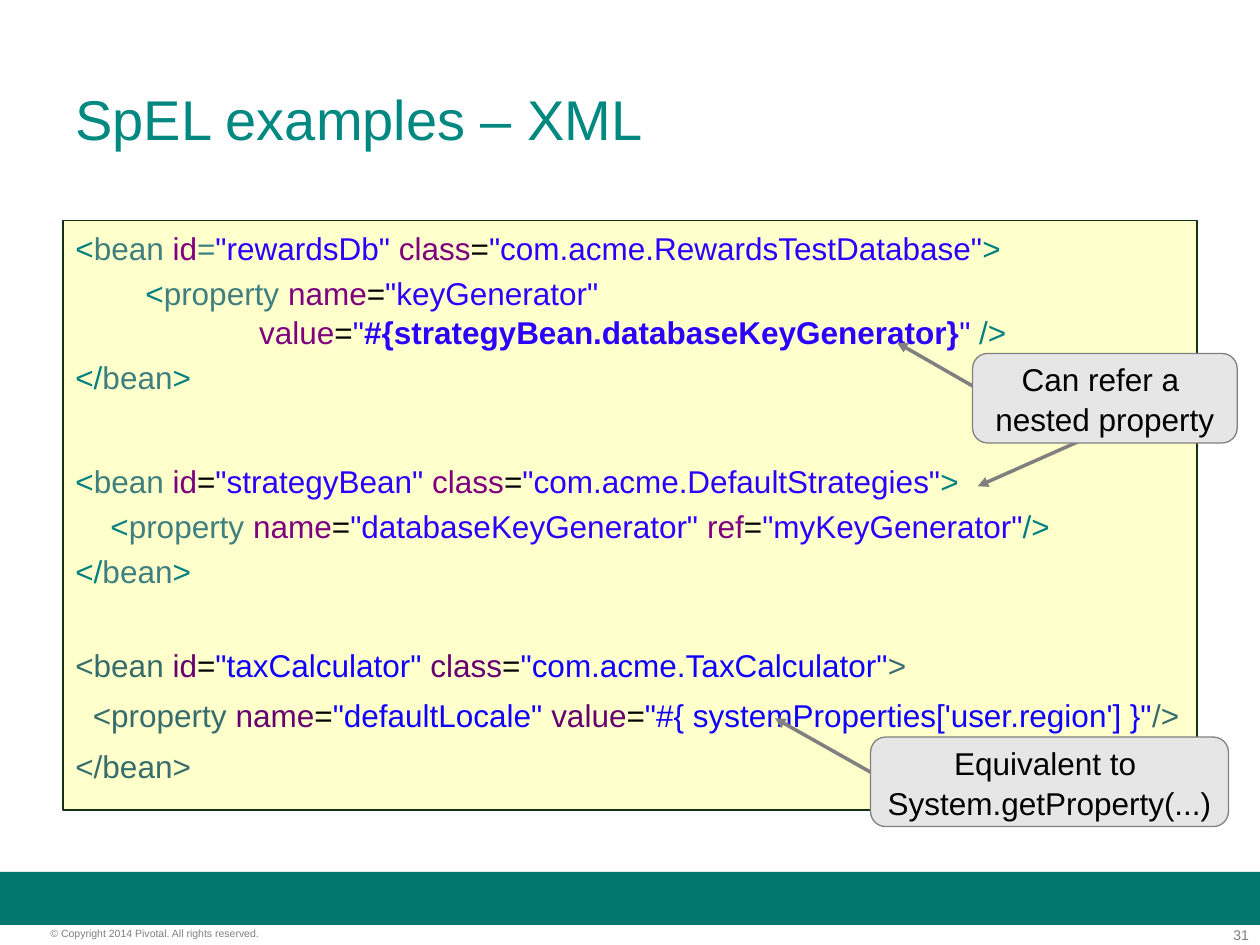
from lxml import etree
from pptx import Presentation, util as u
from pptx.dml.color import RGBColor
from pptx.enum import shapes, text
from pptx.oxml.ns import qn

Pt = u.Pt
ALIGN = text.PP_ALIGN
ANCHOR = text.MSO_ANCHOR

THEME = {
    "font": "Arial",
    "line_spacing": 1.05,
    "sizes": {"title": 32, "code": 18, "number": 8, "copyright": 6},
    "colors": {
        "band": "00786E", "title": "008881", "footer": "7F7F7F",
        "panel": "FFFFCC", "panel_edge": "143015",
        "callout": "E6E6E6", "rule": "808080", "black": "000000",
        "bracket": "008080", "tag": "3F7F7F", "attr": "7F007F",
        "value": "2A00FF", "spel": "2A00FF",
        "tax_tag": "366C6C", "tax_attr": "660071", "tax_value": "0F00FF",
    },
}


def color(role):
    return RGBColor.from_string(THEME["colors"][role])


def write(shape, paragraphs, size, align=ALIGN.LEFT, **frame_format):
    """Fill a shape with (space before, [(colour role, text), ...]) paragraphs."""
    frame = shape.text_frame
    frame_format = {"word_wrap": True, "vertical_anchor": ANCHOR.TOP, **frame_format}
    for attribute, value in frame_format.items():
        setattr(frame, attribute, value)
    for index, (space_before, tokens) in enumerate(paragraphs):
        paragraph = frame.add_paragraph() if index else frame.paragraphs[0]
        paragraph.alignment = align
        paragraph.line_spacing = THEME["line_spacing"]
        paragraph.space_before = Pt(space_before)
        for role, words in tokens:
            if role == "break":
                paragraph.add_line_break()
                continue
            run = paragraph.add_run()
            run.text = words
            font_format = {"name": THEME["font"], "size": Pt(THEME["sizes"][size]),
                           "bold": role == "spel"}
            for attribute, value in font_format.items():
                setattr(run.font, attribute, value)
            run.font.color.rgb = color(role)


prs = Presentation()
prs.slide_width, prs.slide_height = Pt(720), Pt(540)
slide = prs.slides.add_slide(prs.slide_layouts[6])
canvas = slide.shapes

# Footer
band = canvas.add_shape(shapes.MSO_SHAPE.RECTANGLE, Pt(0), Pt(498.2), Pt(720), Pt(30.3))
band.shadow.inherit = False
band.fill.solid()
band.fill.fore_color.rgb = color("band")
band.line.fill.background()

no_margins = dict.fromkeys(
    ("margin_left", "margin_top", "margin_right", "margin_bottom"), 0)
page_number = canvas.add_textbox(Pt(671.8), Pt(529.2), Pt(41.8), Pt(9.4))
write(page_number, [(0, [("footer", "31")])], "number", ALIGN.RIGHT, **no_margins)
copyright_line = canvas.add_textbox(Pt(28.8), Pt(529.2), Pt(179.3), Pt(7.2))
write(copyright_line,
      [(0, [("footer", "© Copyright 2014 Pivotal. All rights reserved.")])],
      "copyright", **no_margins)

# Title
title = canvas.add_textbox(Pt(36), Pt(21.6), Pt(648), Pt(90))
write(title, [(0, [("title", "SpEL examples – XML")])], "title",
      vertical_anchor=ANCHOR.MIDDLE)

# Code panel
equals = ("black", "=")
close_bean = [("bracket", "</"), ("tag", "bean"), ("bracket", ">")]
code = [
    (0, [("bracket", "<"), ("tag", "bean "), ("attr", "id"), ("tag", "="),
         ("value", '"rewardsDb" '), ("attr", "class"), equals,
         ("value", '"com.acme.RewardsTestDatabase"'), ("bracket", ">")]),
    (3.1, [("bracket", "        <"), ("tag", "property "), ("attr", "name"), equals,
           ("value", '"keyGenerator" '), ("break", ""),
           ("value", "                     "), ("attr", "value"), equals,
           ("value", '"'), ("spel", "#{strategyBean.databaseKeyGenerator}"),
           ("value", '" '), ("bracket", "/>")]),
    (3.1, close_bean),
    (36.6, [("bracket", "<"), ("tag", "bean "), ("attr", "id"), equals,
            ("value", '"strategyBean" '), ("attr", "class"), equals,
            ("value", '"com.acme.DefaultStrategies"'), ("bracket", ">")]),
    (3.1, [("bracket", "    <"), ("tag", "property "), ("attr", "name"), equals,
           ("value", '"databaseKeyGenerator" '), ("attr", "ref"), equals,
           ("value", '"myKeyGenerator"'), ("bracket", "/>")]),
    (3.1, close_bean),
    (30.9, [("tax_tag", "<bean "), ("tax_attr", "id"), equals,
            ("tax_value", '"taxCalculator" '), ("tax_attr", "class"), equals,
            ("tax_value", '"com.acme.TaxCalculator"'), ("tax_tag", ">")]),
    (6, [("tax_tag", "  <property "), ("tax_attr", "name"), equals,
         ("tax_value", '"defaultLocale" '), ("tax_attr", "value"), equals,
         ("tax_value", "\"#{ systemProperties['user.region'] }\""),
         ("tax_tag", "/>")]),
    (6, [("tax_tag", "</bean>")]),
]
code_panel = canvas.add_shape(shapes.MSO_SHAPE.RECTANGLE,
                              Pt(36), Pt(126), Pt(648), Pt(337))
code_panel.shadow.inherit = False
code_panel.fill.solid()
code_panel.fill.fore_color.rgb = color("panel")
code_panel.line.color.rgb = color("panel_edge")
code_panel.line.width = Pt(1)
write(code_panel, code, "code")

# Pointers from the callouts into the code
for ends in [(636.5, 243.4, 558.7, 277.9),
             (571.7, 229.7, 512.6, 195.8),
             (505.4, 445.7, 442.8, 410.4)]:
    pointer = canvas.add_connector(shapes.MSO_CONNECTOR.STRAIGHT, *map(Pt, ends))
    pointer.line.color.rgb = color("rule")
    pointer.line.width = Pt(0)
    etree.SubElement(pointer.line._get_or_add_ln(), qn("a:tailEnd"), type="triangle")
    etree.SubElement(pointer._element.spPr, qn("a:effectLst"))

# Callouts
for left, top, width, lines in [
    (497.5, 421.2, 204.5, ("Equivalent to ", "System.getProperty(...)")),
    (555.8, 202, 151.2, ("Can refer a ", "nested property")),
]:
    callout = canvas.add_shape(shapes.MSO_SHAPE.ROUNDED_RECTANGLE,
                               Pt(left), Pt(top), Pt(width), Pt(51.1))
    callout.shadow.inherit = False
    callout.fill.solid()
    callout.fill.fore_color.rgb = color("callout")
    callout.line.color.rgb = color("rule")
    callout.line.width = Pt(0)
    write(callout, [(0, [("black", line)]) for line in lines], "code", ALIGN.CENTER,
          word_wrap=False, vertical_anchor=ANCHOR.MIDDLE)

prs.save("out.pptx")
